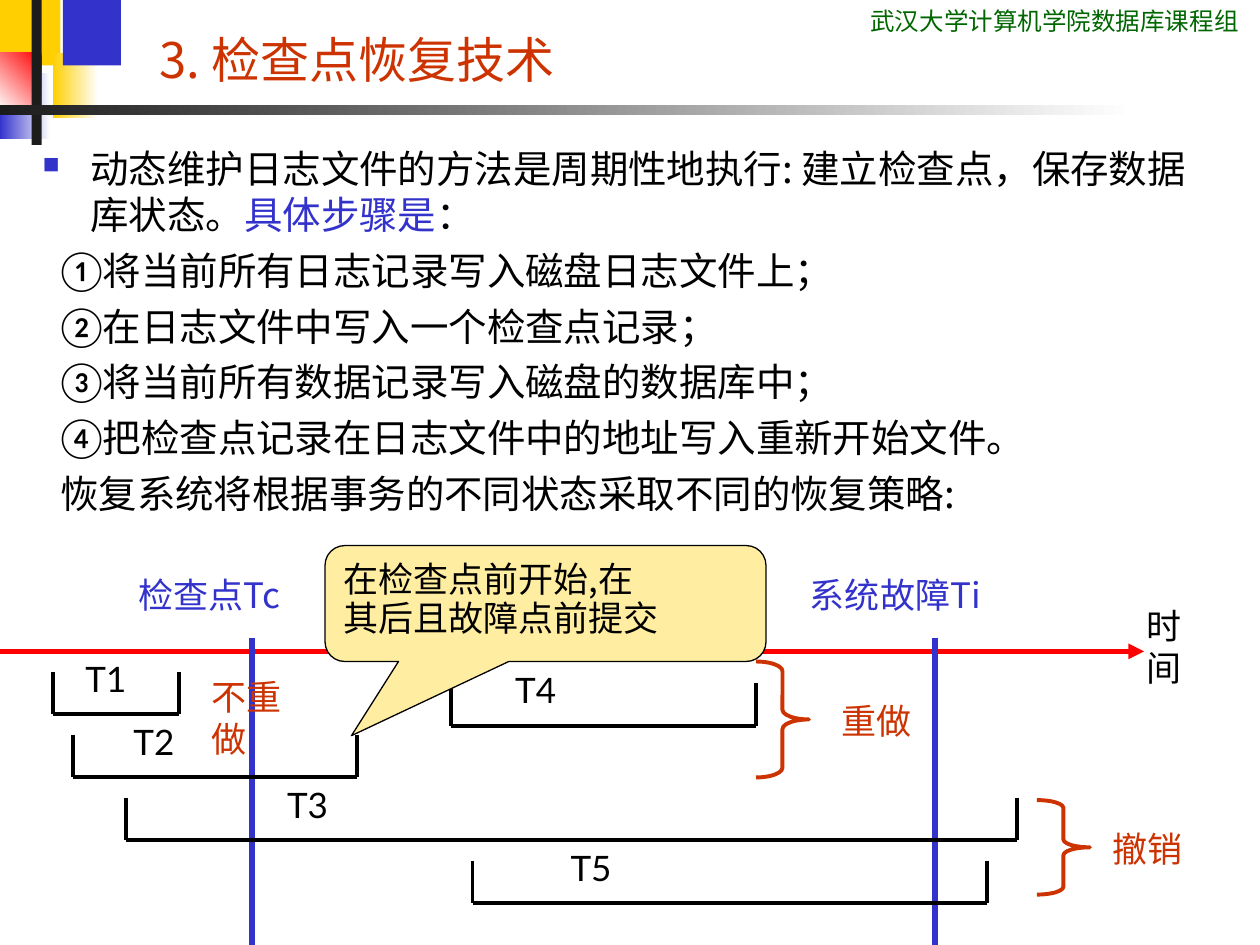
from dataclasses import dataclass
from typing import Optional

from lxml.etree import SubElement
from pptx import Presentation
from pptx.dml.color import RGBColor
from pptx.enum.shapes import MSO_CONNECTOR as Connector, MSO_SHAPE as Shape
from pptx.enum.text import MSO_ANCHOR as Anchor, PP_ALIGN as Align
from pptx.oxml.ns import qn
from pptx.util import Inches, Pt

COLORS = {
    "gold": "FFCF01", "blue": "3333CC", "red": "FF0000", "dark": "1C1C1C",
    "white": "FFFFFF", "black": "000000", "green": "006600",
    "rust": "CC3300", "cream": "FFEDA1",
}
CJK = "Noto Sans CJK SC"
LATIN = "Lato"
HEADER = "Roboto Condensed"


@dataclass
class Block:
    left: float
    top: float
    width: float
    height: float
    color: str
    fade_from: Optional[str] = None
    angle: int = 180


@dataclass
class Transaction:
    name: str
    start: float
    end: float
    top: float
    label_left: float


@dataclass
class Label:
    text: str
    left: float
    top: float
    width: float
    color: str
    font: str = CJK
    height: float = 0.44
    size: int = 20
    wrap: bool = True


@dataclass
class Brace:
    left: float
    top: float
    height: float


BLOCKS = [
    Block(0, 0, 0.48, 0.52, "gold"),
    Block(0.42, 0.42, 0.36, 0.52, "gold", "white"),
    Block(0.5, 0, 0.46, 0.52, "blue"),
    Block(0, 0.58, 0.4, 0.52, "blue", "white"),
    Block(0, 0.42, 0.33, 0.46, "white", "red", 225),
    Block(0.25, 0, 0.08, 1.15, "dark"),
    Block(0, 0.83, 9, 0.08, "dark", "white"),
]
TRANSACTIONS = [
    Transaction("T1", 0.42, 1.42, 5.33, 0.58),
    Transaction("T2", 0.58, 2.83, 5.83, 0.96),
    Transaction("T3", 1, 8.07, 6.33, 2.18),
    Transaction("T4", 3.58, 6, 5.42, 3.99),
    Transaction("T5", 3.75, 7.83, 6.83, 4.43),
]
LABELS = [
    Label("武汉大学计算机学院数据库课程组", 6.81, 0, 3.19, "green", HEADER, 0.34, 14),
    Label("时间", 9, 4.75, 0.75, "black", LATIN, 0.77),
    Label("系统故障Ti", 6.33, 4.5, 2.17, "blue"),
    Label("检查点Tc", 1, 4.5, 1.75, "blue"),
    Label("撤销", 8.73, 6.52, 0.92, "rust"),
    Label("重做", 6.58, 5.5, 0.92, "rust"),
    Label("不重做", 1.58, 5.31, 1.03, "rust", LATIN, wrap=False),
]
BRACES = [Brace(8.23, 6.35, 0.75), Brace(6, 5.25, 0.92)]
STEPS = [
    "①将当前所有日志记录写入磁盘日志文件上；",
    "②在日志文件中写入一个检查点记录；",
    "③将当前所有数据记录写入磁盘的数据库中；",
    "④把检查点记录在日志文件中的地址写入重新开始文件。",
    "恢复系统将根据事务的不同状态采取不同的恢复策略:",
]


def rgb(name: str) -> RGBColor:
    return RGBColor.from_string(COLORS[name])


def add_span(para, text: str, *, size: int = 20, color: str = "black", font: str = CJK) -> None:
    span = para.add_run()
    span.text = text
    span.font.size = Pt(size)
    span.font.name = font
    span.font.color.rgb = rgb(color)
    SubElement(span.font._element, qn("a:ea"), typeface=LATIN)


def add_box(page, left: float, top: float, width: float, height: float, wrap: bool = True):
    box = page.shapes.add_textbox(Inches(left), Inches(top), Inches(width), Inches(height))
    box.text_frame.word_wrap = wrap
    return box.text_frame


def add_label(page, label: Label) -> None:
    frame = add_box(page, label.left, label.top, label.width, label.height, label.wrap)
    add_span(frame.paragraphs[0], label.text, size=label.size, color=label.color, font=label.font)


def add_line(page, start: tuple, end: tuple, color: str, width: float, arrow: bool = False) -> None:
    line = page.shapes.add_connector(Connector.STRAIGHT, *map(Inches, start + end))
    line.line.color.rgb = rgb(color)
    line.line.width = Pt(width)
    if arrow:
        SubElement(line.line._get_or_add_ln(), qn("a:tailEnd"), type="triangle")
    SubElement(line._element.spPr, qn("a:effectLst"))


def add_block(page, block: Block) -> None:
    shape = page.shapes.add_shape(
        Shape.RECTANGLE, Inches(block.left), Inches(block.top), Inches(block.width), Inches(block.height))
    shape.shadow.inherit = False
    shape.line.fill.background()
    if block.fade_from is None:
        shape.fill.solid()
        shape.fill.fore_color.rgb = rgb(block.color)
        return
    shape.fill.gradient()
    shape.fill.gradient_angle = block.angle
    for stop, color in zip(shape.fill.gradient_stops, (block.fade_from, block.color)):
        stop.color.rgb = rgb(color)


def add_transaction(page, item: Transaction) -> None:
    bottom = item.top + 0.34
    for side in (item.start, item.end):
        add_line(page, (side, item.top), (side, bottom), "black", 2.25)
    add_line(page, (item.start, bottom), (item.end, bottom), "black", 2.25)
    add_label(page, Label(item.name, item.label_left, item.top - 0.16, 0.75, "black", LATIN))


def add_brace(page, brace: Brace) -> None:
    width = 0.42
    shape = page.shapes.add_shape(
        Shape.RIGHT_BRACE, Inches(brace.left), Inches(brace.top), Inches(width), Inches(brace.height))
    shape.adjustments[0] = brace.height / 12 / width
    shape.shadow.inherit = False
    shape.fill.background()
    shape.line.color.rgb = rgb("rust")
    shape.line.width = Pt(2.25)


def add_callout(page) -> None:
    shape = page.shapes.add_shape(
        Shape.ROUNDED_RECTANGULAR_CALLOUT, Inches(2.58), Inches(4.33), Inches(3.5), Inches(0.92))
    for index, value in enumerate((-0.44, 1.14, 0.17)):
        shape.adjustments[index] = value
    shape.shadow.inherit = False
    shape.fill.solid()
    shape.fill.fore_color.rgb = rgb("cream")
    shape.line.color.rgb = rgb("black")
    shape.line.width = Pt(0.75)
    frame = shape.text_frame
    frame.vertical_anchor = Anchor.TOP
    first, second = frame.paragraphs[0], frame.add_paragraph()
    second.line_spacing = 0.7
    second.space_before = Pt(5)
    for para, text in ((first, "在检查点前开始,在"), (second, "其后且故障点前提交")):
        para.alignment = Align.LEFT
        add_span(para, text)


def add_body(page) -> None:
    frame = add_box(page, 0.24, 1.1, 9.37, 3.31)
    intro = frame.paragraphs[0]
    props = intro._p.get_or_add_pPr()
    props.set("marL", str(Inches(0.38)))
    props.set("indent", str(Inches(-0.38)))
    SubElement(SubElement(props, qn("a:buClr")), qn("a:srgbClr"), val=COLORS["blue"])
    SubElement(props, qn("a:buSzPct"), val="60000")
    SubElement(props, qn("a:buChar"), char="■")
    add_span(intro, "动态维护日志文件的方法是周期性地执行: 建立检查点，保存数据库状态。", size=22)
    add_span(intro, "具体步骤是", size=22, color="blue")
    add_span(intro, "：", size=22)
    for step in STEPS:
        para = frame.add_paragraph()
        para.space_before = Pt(5.5)
        para._p.get_or_add_pPr().set("marL", str(Inches(0.14)))
        add_span(para, step, size=22)


def main() -> None:
    deck = Presentation()
    deck.slide_width, deck.slide_height = Inches(10), Inches(7.5)
    page = deck.slides.add_slide(deck.slide_layouts[6])
    for block in BLOCKS:
        add_block(page, block)
    title = add_box(page, 1.17, 0, 4.77, 0.75)
    title.vertical_anchor = Anchor.BOTTOM
    add_span(title.paragraphs[0], "3. 检查点恢复技术", size=28, color="rust")
    add_body(page)
    add_line(page, (0, 5.17), (9.08, 5.17), "red", 3, arrow=True)
    for moment in (7.42, 2):
        add_line(page, (moment, 5.06), (moment, 7.5), "blue", 3)
    for item in TRANSACTIONS:
        add_transaction(page, item)
    add_callout(page)
    for brace in BRACES:
        add_brace(page, brace)
    for label in LABELS:
        add_label(page, label)
    deck.save("out.pptx")


if __name__ == "__main__":
    main()
